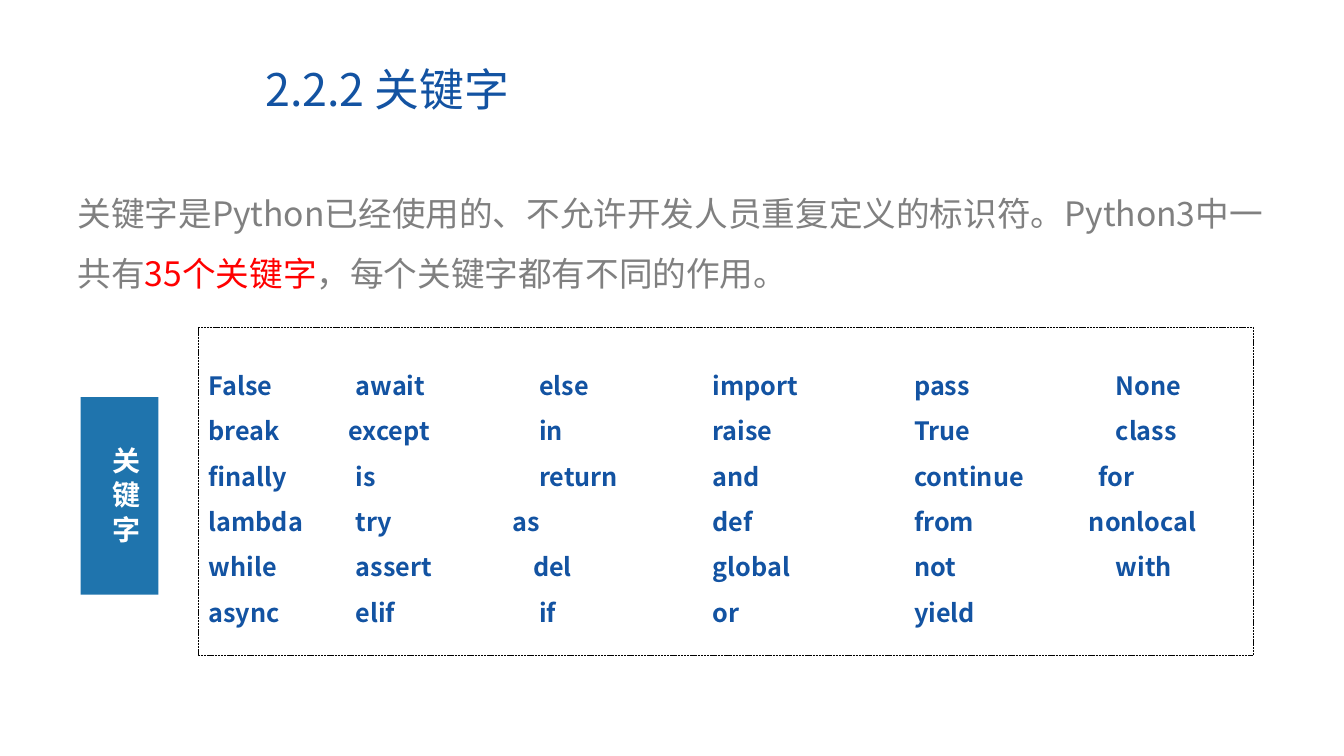
from dataclasses import dataclass

from lxml.etree import SubElement
from pptx import Presentation
from pptx.dml.color import RGBColor
from pptx.enum.dml import MSO_LINE
from pptx.enum.shapes import MSO_SHAPE
from pptx.enum.text import MSO_ANCHOR as Anchor, MSO_AUTO_SIZE as AutoSize, PP_ALIGN as Align
from pptx.oxml.ns import qn
from pptx.util import Inches, Pt


@dataclass(frozen=True)
class Theme:
    font: str = "Noto Sans CJK SC"
    navy: str = "1353A2"
    blue: str = "1F74AD"
    grey: str = "808080"
    red: str = "FF0000"
    white: str = "FFFFFF"
    black: str = "000000"
    title_size: int = 32
    intro_size: int = 24
    label_size: int = 20
    keyword_size: int = 18


class SlideBuilder:
    """Areas are (left, top, width, height) in percent of the slide's size."""

    def __init__(self, deck, theme):
        self.deck, self.theme = deck, theme
        self.slide = deck.slides.add_slide(deck.slide_layouts[1])

    def across(self, share):
        return round(self.deck.slide_width * share / 100)

    def down(self, share):
        return round(self.deck.slide_height * share / 100)

    def area(self, left, top, width, height):
        return self.across(left), self.down(top), self.across(width), self.down(height)

    def add_run(self, paragraph, text, size, color, bold=False):
        run = paragraph.add_run()
        run.text = text
        font = run.font
        font.name, font.size, font.bold = self.theme.font, Pt(size), bold
        font.color.rgb = RGBColor.from_string(color)
        SubElement(font._element, qn("a:ea"), typeface=self.theme.font)

    def placeholder(self, index, area, runs, size, spacing, anchor):
        holder = self.slide.placeholders[index]
        holder.left, holder.top, holder.width, holder.height = self.area(*area)
        frame = holder.text_frame
        frame.auto_size, frame.word_wrap = AutoSize.NONE, True
        frame.vertical_anchor = anchor
        paragraph = frame.paragraphs[0]
        properties = paragraph._p.get_or_add_pPr()
        properties.set("marL", "0")
        properties.set("indent", "0")
        SubElement(properties, qn("a:buNone"))
        paragraph.alignment = Align.LEFT
        paragraph.line_spacing, paragraph.space_before = spacing, Pt(0)
        for text, color in runs:
            self.add_run(paragraph, text, size, color)

    def panel(self, area, fill=None, line=None):
        panel = self.slide.shapes.add_shape(MSO_SHAPE.RECTANGLE, *self.area(*area))
        panel.shadow.inherit = False
        if fill:
            panel.fill.solid()
            panel.fill.fore_color.rgb = RGBColor.from_string(fill)
        else:
            panel.fill.background()
        if line:
            panel.line.color.rgb = RGBColor.from_string(line)
            panel.line.width, panel.line.dash_style = Pt(0.5), MSO_LINE.SQUARE_DOT
        else:
            panel.line.fill.background()
        return panel

    def vertical_label(self, area, text):
        label = self.slide.shapes.add_textbox(*self.area(*area))
        frame = label.text_frame
        frame.word_wrap, frame.auto_size = False, AutoSize.SHAPE_TO_FIT_TEXT
        frame._txBody.bodyPr.set("vert", "eaVert")
        paragraph = frame.paragraphs[0]
        paragraph.alignment = Align.CENTER
        self.add_run(paragraph, text, self.theme.label_size, self.theme.white, bold=True)

    def keyword_rows(self, area, rows, stops, shifted):
        frame = self.panel(area, line=self.theme.black).text_frame
        frame.word_wrap, frame.vertical_anchor = True, Anchor.MIDDLE
        for number, row in enumerate(rows):
            paragraph = frame.add_paragraph() if number else frame.paragraphs[0]
            words = row.split()
            tabs = SubElement(paragraph._p.get_or_add_pPr(), qn("a:tabLst"))
            for word, stop in zip(words[1:], stops):
                position = self.across(shifted.get(word, stop))
                SubElement(tabs, qn("a:tab"), pos=str(position), algn="l")
            paragraph.alignment, paragraph.line_spacing = Align.LEFT, 1.5
            self.add_run(paragraph, "\t".join(words), self.theme.keyword_size,
                         self.theme.navy, bold=True)


KEYWORDS = [
    "False await else import pass None",
    "break except in raise True class",
    "finally is return and continue for",
    "lambda try as def from nonlocal",
    "while assert del global not with",
    "async elif if or yield",
]
COLUMN_STOPS = [10.95, 24.6, 37.5, 52.5, 67.5]
SHIFTED_WORDS = {"except": 10.43, "as": 22.65, "del": 24.15, "for": 66.2, "nonlocal": 65.5}


def main():
    deck = Presentation()
    deck.slide_width, deck.slide_height = Inches(13.33), Inches(7.5)
    theme = Theme()
    page = SlideBuilder(deck, theme)

    # Title and introduction
    page.placeholder(0, (18.98, 8.27, 49.43, 7.87), [("2.2.2 关键字", theme.navy)],
                     theme.title_size, 0.9, Anchor.MIDDLE)
    intro = [
        ("关键字是Python已经使用的、不允许开发人员重复定义的标识符。Python3中一共有", theme.grey),
        ("35个关键字", theme.red),
        ("，每个关键字都有不同的作用。", theme.grey),
    ]
    page.placeholder(1, (5.03, 22.13, 89.8, 16.53), intro, theme.intro_size, 1.5, Anchor.TOP)

    # Side label
    page.panel((6, 52.53, 5.78, 26.13), fill=theme.blue)
    page.vertical_label((6.9, 57.73, 4.05, 14.8), "关 键 字")

    # Keyword list
    page.keyword_rows((14.78, 43.33, 78.47, 43.33), KEYWORDS, COLUMN_STOPS, SHIFTED_WORDS)

    deck.save("out.pptx")


if __name__ == "__main__":
    main()
